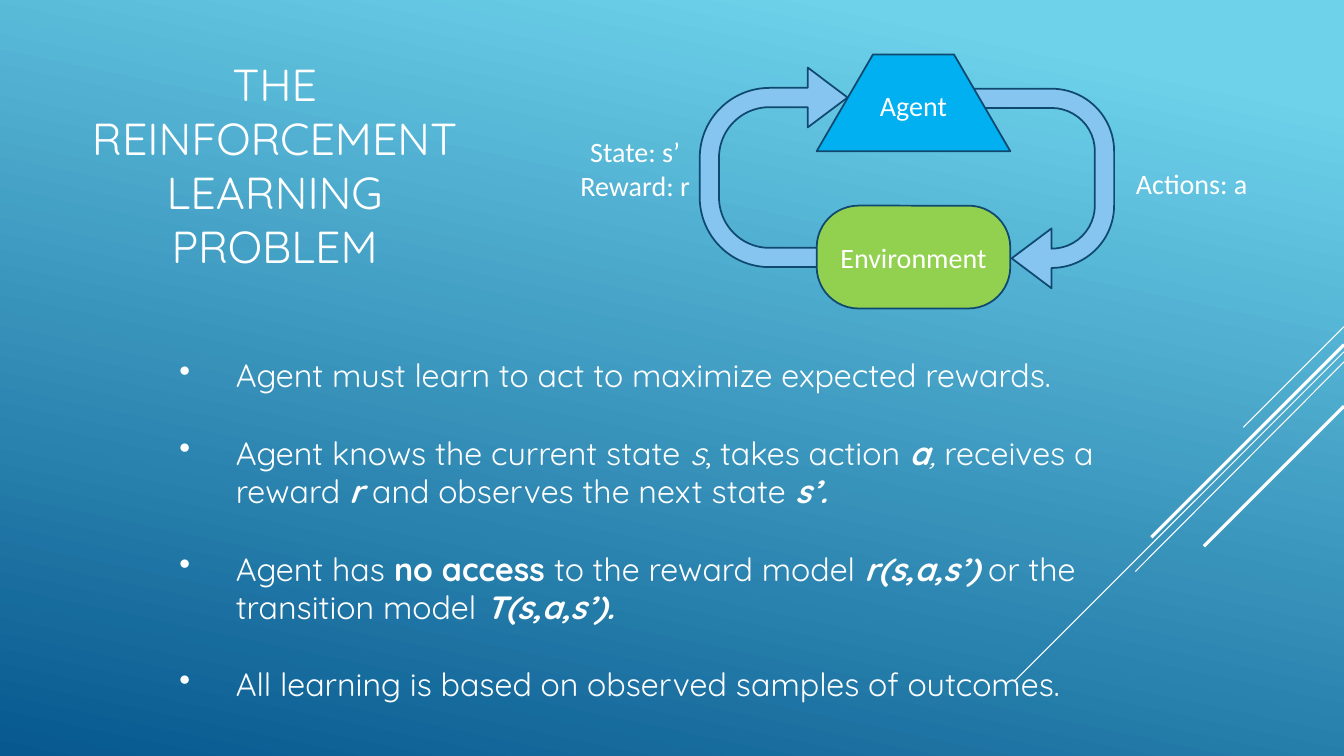
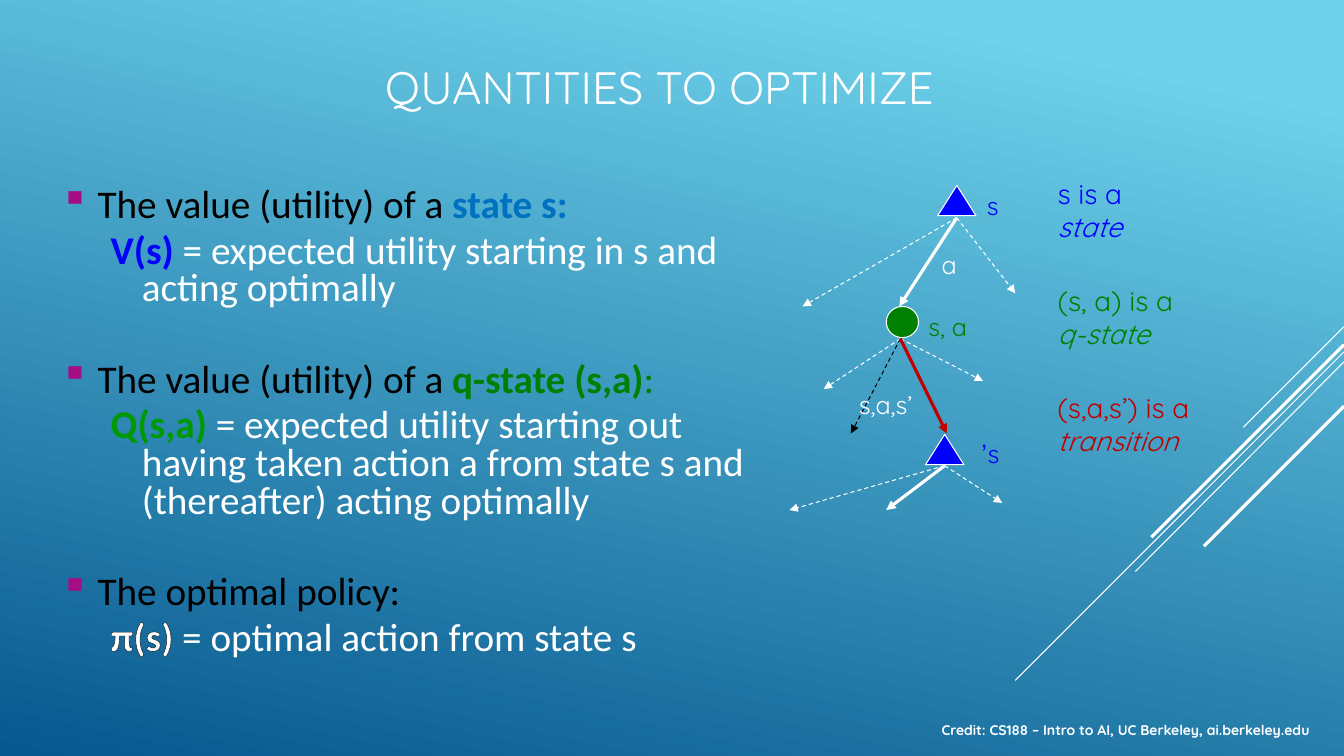
from dataclasses import dataclass
from typing import NamedTuple

from lxml import etree
from pptx import Presentation
from pptx.dml.color import RGBColor
from pptx.enum.dml import MSO_LINE_DASH_STYLE
from pptx.enum.shapes import MSO_CONNECTOR, MSO_SHAPE
from pptx.enum.text import MSO_ANCHOR, MSO_AUTO_SIZE, PP_ALIGN
from pptx.oxml.ns import qn
from pptx.presentation import Presentation as Deck
from pptx.shapes.autoshape import Shape
from pptx.slide import Slide
from pptx.text.text import TextFrame, _Paragraph
from pptx.util import Inches, Pt

DASH = MSO_LINE_DASH_STYLE.DASH
STRAIGHT = MSO_CONNECTOR.STRAIGHT
U_TURN, ROUNDED = MSO_SHAPE.U_TURN_ARROW, MSO_SHAPE.ROUNDED_RECTANGLE
TRAPEZOID, TRIANGLE, OVAL = MSO_SHAPE.TRAPEZOID, MSO_SHAPE.ISOSCELES_TRIANGLE, MSO_SHAPE.OVAL
TOP, MIDDLE, BOTTOM = MSO_ANCHOR.TOP, MSO_ANCHOR.MIDDLE, MSO_ANCHOR.BOTTOM
NO_AUTOFIT = MSO_AUTO_SIZE.NONE
LEFT, CENTER, RIGHT = PP_ALIGN.LEFT, PP_ALIGN.CENTER, PP_ALIGN.RIGHT

WHITE = RGBColor(0xFF, 0xFF, 0xFF)
BLACK = RGBColor(0x00, 0x00, 0x00)
SKY = RGBColor(0x6E, 0xD2, 0xEB)
DEEP_BLUE = RGBColor(0x06, 0x58, 0x8E)
ARROW_BLUE = RGBColor(0x86, 0xC5, 0xEF)
OUTLINE_BLUE = RGBColor(0x0F, 0x49, 0x6F)
AGENT_BLUE = RGBColor(0x00, 0xB0, 0xF0)
ENVIRONMENT_GREEN = RGBColor(0x92, 0xD0, 0x50)
STATE_BLUE = RGBColor(0x00, 0x00, 0xFF)
HEADING_BLUE = RGBColor(0x00, 0x70, 0xC0)
Q_GREEN = RGBColor(0x00, 0x80, 0x00)
FORMULA_GREEN = RGBColor(0x00, 0x99, 0x00)
TRANSITION_RED = RGBColor(0xC0, 0x00, 0x00)
BULLET_PURPLE = RGBColor(0xA5, 0x0E, 0x82)

DISPLAY_FONT, BODY_FONT = "Quicksand", "Calibri"


class Box(NamedTuple):
    left: float
    top: float
    width: float
    height: float


class Point(NamedTuple):
    x: float
    y: float


class Piece(NamedTuple):
    text: str
    color: RGBColor = WHITE
    bold: bool = False
    italic: bool = False
    outlined: bool = False


@dataclass
class Stroke:
    color: RGBColor = WHITE
    width: float = 0.75
    dashed: bool = False
    arrow: bool = False


@dataclass
class Figure:
    kind: MSO_SHAPE
    box: Box
    fill: RGBColor
    line: Stroke
    adjustments: tuple[float, ...] = ()
    rotation: int = 0


@dataclass
class Label:
    box: Box
    lines: list[list[Piece]]
    size: float = 18
    font: str = DISPLAY_FONT
    align: PP_ALIGN = LEFT
    right_to_left: bool = False


THIN_DASH = Stroke(dashed=True, arrow=True)
THICK = Stroke(width=2.25, arrow=True)
DIAGONALS = [
    (Point(13.33, 3.24), Point(12.33, 4.24), Stroke()),
    (Point(13.33, 3.49), Point(10.07, 6.75), Stroke()),
    (Point(13.33, 3.59), Point(11.26, 5.67), Stroke()),
    (Point(13.33, 3.42), Point(11.42, 5.33), Stroke(width=2.25)),
    (Point(13.33, 4.03), Point(11.94, 5.42), Stroke(width=2.25)),
]
TREE = [
    (Point(9.49, 2.16), [(Point(7.96, 3.04), THIN_DASH), (Point(8.92, 3.04), THICK),
                         (Point(10.07, 2.91), THIN_DASH)]),
    (Point(8.93, 3.36), [(Point(8.17, 3.86), THIN_DASH), (Point(9.75, 3.78), THIN_DASH),
                         (Point(8.44, 4.3), Stroke(BLACK, 0.75, True, True)),
                         (Point(9.39, 4.3), Stroke(TRANSITION_RED, 2.25, False, True))]),
    (Point(9.37, 4.62), [(Point(7.83, 5.06), THIN_DASH), (Point(8.79, 5.06), THICK),
                         (Point(9.94, 4.99), THIN_DASH)]),
]
LOOP_LINE = Stroke(OUTLINE_BLUE, 1.25)
LOOP_WIDTH = 1.92

LEARNING_POINTS = [
    [Piece("Agent must learn to act to maximize expected rewards.")],
    [Piece("Agent knows the current state "), Piece("s", italic=True), Piece(", takes action "),
     Piece("a", bold=True, italic=True), Piece(",", italic=True), Piece(" receives a reward "),
     Piece("r ", bold=True, italic=True), Piece("and observes the next state "),
     Piece("s’.", bold=True, italic=True)],
    [Piece("Agent has "), Piece("no access", bold=True), Piece(" to the reward model "),
     Piece("r(s,a,s’)", bold=True, italic=True), Piece(" or the transition model "),
     Piece("T(s,a,s’).", bold=True, italic=True)],
    [Piece("All learning is based on observed samples of outcomes.")],
]
QUANTITIES = [
    ([Piece("The value (utility) of a ", BLACK), Piece("state s:", HEADING_BLUE, True)],
     [Piece("V(s)", STATE_BLUE, True, outlined=True),
      Piece(" = expected utility starting in s and acting optimally")]),
    ([Piece("The value (utility) of a ", BLACK), Piece("q-state (s,a)", Q_GREEN, True),
      Piece(":", Q_GREEN)],
     [Piece("Q(s,a) ", FORMULA_GREEN, True, outlined=True),
      Piece("= expected utility starting out having taken action a from state s and "
            "(thereafter) acting optimally")]),
    ([Piece("The optimal policy:", BLACK)],
     [Piece("π(s)", WHITE, True, outlined=True), Piece(" = optimal action from state s")]),
]


def to_inches(box: Box) -> tuple[Inches, ...]:
    return tuple(Inches(length) for length in box)


def apply_stroke(line, stroke: Stroke) -> None:
    line.color.rgb = stroke.color
    line.width = Pt(stroke.width)
    if stroke.dashed:
        line.dash_style = DASH


def add_line(slide: Slide, start: Point, end: Point, stroke: Stroke) -> None:
    ends = [Inches(length) for length in (*start, *end)]
    connector = slide.shapes.add_connector(STRAIGHT, *ends)
    apply_stroke(connector.line, stroke)
    properties = connector.element.spPr
    if stroke.arrow:
        etree.SubElement(properties.find(qn("a:ln")), qn("a:tailEnd"), type="triangle")
    etree.SubElement(properties, qn("a:effectLst"))


def add_figure(slide: Slide, figure: Figure) -> Shape:
    shape = slide.shapes.add_shape(figure.kind, *to_inches(figure.box))
    shape.shadow.inherit = False
    shape.rotation = figure.rotation
    shape.fill.solid()
    shape.fill.fore_color.rgb = figure.fill
    apply_stroke(shape.line, figure.line)
    for index, value in enumerate(figure.adjustments):
        shape.adjustments[index] = value
    return shape


def write_pieces(paragraph: _Paragraph, pieces: list[Piece], size: float, font: str) -> None:
    for piece in pieces:
        run = paragraph.add_run()
        run.text = piece.text
        run.font.name = font
        run.font.size = Pt(size)
        run.font.bold = piece.bold
        run.font.italic = piece.italic
        run.font.color.rgb = piece.color
        if piece.outlined:
            outline = etree.Element(qn("a:ln"), w=str(Pt(0.75)))
            fill = etree.SubElement(outline, qn("a:solidFill"))
            etree.SubElement(fill, qn("a:srgbClr"), val=str(BLACK))
            run.font._element.insert(0, outline)


def next_paragraph(frame: TextFrame, index: int) -> _Paragraph:
    return frame.add_paragraph() if index else frame.paragraphs[0]


def set_indent(paragraph: _Paragraph, margin: float, hanging: float) -> None:
    properties = paragraph._p.get_or_add_pPr()
    properties.set("marL", str(Inches(margin)))
    properties.set("indent", str(-Inches(hanging)))


def set_bullet(paragraph: _Paragraph, character: str, color: RGBColor) -> None:
    properties = paragraph._p.get_or_add_pPr()
    bullet_color = etree.SubElement(properties, qn("a:buClr"))
    etree.SubElement(bullet_color, qn("a:srgbClr"), val=str(color))
    etree.SubElement(properties, qn("a:buChar"), char=character)


def add_text_frame(slide: Slide, box: Box) -> TextFrame:
    frame = slide.shapes.add_textbox(*to_inches(box)).text_frame
    frame.word_wrap = True
    return frame


def add_label(slide: Slide, label: Label) -> None:
    frame = add_text_frame(slide, label.box)
    for index, pieces in enumerate(label.lines):
        paragraph = next_paragraph(frame, index)
        paragraph.alignment = label.align
        if label.right_to_left:
            paragraph._p.get_or_add_pPr().set("rtl", "1")
        write_pieces(paragraph, pieces, label.size, label.font)


def write_shape_text(shape: Shape, text: str, anchor: MSO_ANCHOR, top_inset: float = 0.05) -> None:
    frame = shape.text_frame
    frame.vertical_anchor = anchor
    frame.margin_top = Inches(top_inset)
    frame.paragraphs[0].alignment = CENTER
    write_pieces(frame.paragraphs[0], [Piece(text)], 20, BODY_FONT)


def add_slide(presentation: Deck, title: str, box: Box, size: float,
              anchor: MSO_ANCHOR, align: PP_ALIGN) -> Slide:
    slide = presentation.slides.add_slide(presentation.slide_layouts[5])
    for start, end, stroke in DIAGONALS:
        add_line(slide, start, end, stroke)
    shape = slide.shapes.title
    shape.left, shape.top, shape.width, shape.height = to_inches(box)
    frame = shape.text_frame
    frame.text = title
    frame.word_wrap = True
    frame.auto_size = NO_AUTOFIT
    frame.vertical_anchor = anchor
    paragraph = frame.paragraphs[0]
    paragraph.alignment = align
    for run in paragraph.runs:
        run.font.name = DISPLAY_FONT
        run.font.size = Pt(size)
        run.font.color.rgb = WHITE
    return slide


def build_learning_problem(presentation: Deck) -> None:
    slide = add_slide(presentation, "THE\vREINFORCEMENT LEARNING\vPROBLEM",
                      Box(0.41, 0.46, 4.63, 2.29), 32, BOTTOM, CENTER)
    frame = add_text_frame(slide, Box(1.68, 3.48, 9.55, 3.58))
    for index, pieces in enumerate(LEARNING_POINTS):
        paragraph = next_paragraph(frame, index)
        set_indent(paragraph, 0.56, 0.56)
        set_bullet(paragraph, "•", WHITE)
        paragraph.space_before = Pt(27.6 if index else 0)
        write_pieces(paragraph, pieces, 23, DISPLAY_FONT)

    for left, top, rotation, reach in [(6.74, 0.87, 270, 0.928), (9.27, 1.08, 90, 0.643)]:
        add_figure(slide, Figure(U_TURN, Box(left, top, 1.98, 1.58), ARROW_BLUE, LOOP_LINE,
                                 (0.121, 0.188, 0.25, 0.438, reach), rotation))
    environment = add_figure(slide, Figure(ROUNDED, Box(8.1, 2.04, LOOP_WIDTH, 1.02),
                                           ENVIRONMENT_GREEN, LOOP_LINE, (0.406,)))
    write_shape_text(environment, "Environment", MIDDLE)
    agent = add_figure(slide, Figure(TRAPEZOID, Box(8.1, 0.54, LOOP_WIDTH, 0.96),
                                     AGENT_BLUE, LOOP_LINE, (0.582,)))
    write_shape_text(agent, "Agent", TOP, 0.15)
    add_label(slide, Label(Box(11.1, 1.6, 1.44, 0.44), [[Piece("Actions: a")]],
                           20, BODY_FONT, CENTER))
    add_label(slide, Label(Box(5.58, 1.29, 1.44, 0.77),
                           [[Piece("State: s’")], [Piece("Reward: r")]], 20, BODY_FONT, CENTER))


def build_quantities(presentation: Deck) -> None:
    slide = add_slide(presentation, "QUANTITIES TO OPTIMIZE", Box(3.72, 0.42, 5.9, 0.87),
                      32.4, MIDDLE, LEFT)
    frame = add_text_frame(slide, Box(0.5, 1.82, 7.33, 4.93))
    for index, (heading, formula) in enumerate(QUANTITIES):
        paragraph = next_paragraph(frame, index)
        set_indent(paragraph, 0.37, 0.37)
        set_bullet(paragraph, "▪", BULLET_PURPLE)
        paragraph.space_before = Pt(38.5 if index else 5.6)
        detail = frame.add_paragraph()
        set_indent(detail, 0.81, 0.31)
        detail.space_before = Pt(5.6)
        for target, pieces in ((paragraph, heading), (detail, formula)):
            target.line_spacing = 0.8
            write_pieces(target, pieces, 28, BODY_FONT)

    for left, top in [(9.3, 1.84), (9.18, 4.31)]:
        add_figure(slide, Figure(TRIANGLE, Box(left, top, 0.38, 0.3), STATE_BLUE, Stroke()))
    add_figure(slide, Figure(OVAL, Box(8.79, 3.04, 0.32, 0.31), Q_GREEN, Stroke()))
    for origin, branches in TREE:
        for end, stroke in branches:
            add_line(slide, origin, end, stroke)

    labels = [
        Label(Box(9.24, 2.42, 0.32, 0.3), [[Piece("a")]]),
        Label(Box(9.69, 1.84, 0.32, 0.4), [[Piece("s", STATE_BLUE)]]),
        Label(Box(9.59, 4.3, 0.42, 0.4), [[Piece("s’", STATE_BLUE)]],
              align=RIGHT, right_to_left=True),
        Label(Box(9.11, 3.04, 0.64, 0.4), [[Piece("s, a", Q_GREEN)]]),
        Label(Box(8.42, 3.81, 0.9, 0.3), [[Piece("s,a,s’")]]),
        Label(Box(9.24, 7.11, 3.95, 0.27),
              [[Piece("Credit: CS188 – Intro to AI, UC Berkeley, ai.berkeley.edu", bold=True)]], 10),
    ]
    legend = [("s is a ", "state", STATE_BLUE, 1.7, 1.15),
              ("(s, a) is a ", "q-state", Q_GREEN, 2.76, 1.42),
              ("(s,a,s’) is a ", "transition", TRANSITION_RED, 3.82, 1.73)]
    for symbol, term, color, top, width in legend:
        labels.append(Label(Box(10.39, top, width, 0.77),
                            [[Piece(symbol, color), Piece(term, color, italic=True)]], 20))
    for label in labels:
        add_label(slide, label)


def main() -> None:
    presentation = Presentation()
    presentation.slide_width, presentation.slide_height = Inches(13.33), Inches(7.5)
    background = presentation.slide_master.background.fill
    background.gradient()
    background.gradient_angle = 258
    for stop, color, position in zip(background.gradient_stops, (SKY, DEEP_BLUE), (0.1, 1)):
        stop.color.rgb = color
        stop.position = position
    build_learning_problem(presentation)
    build_quantities(presentation)
    presentation.save("out.pptx")


if __name__ == "__main__":
    main()
